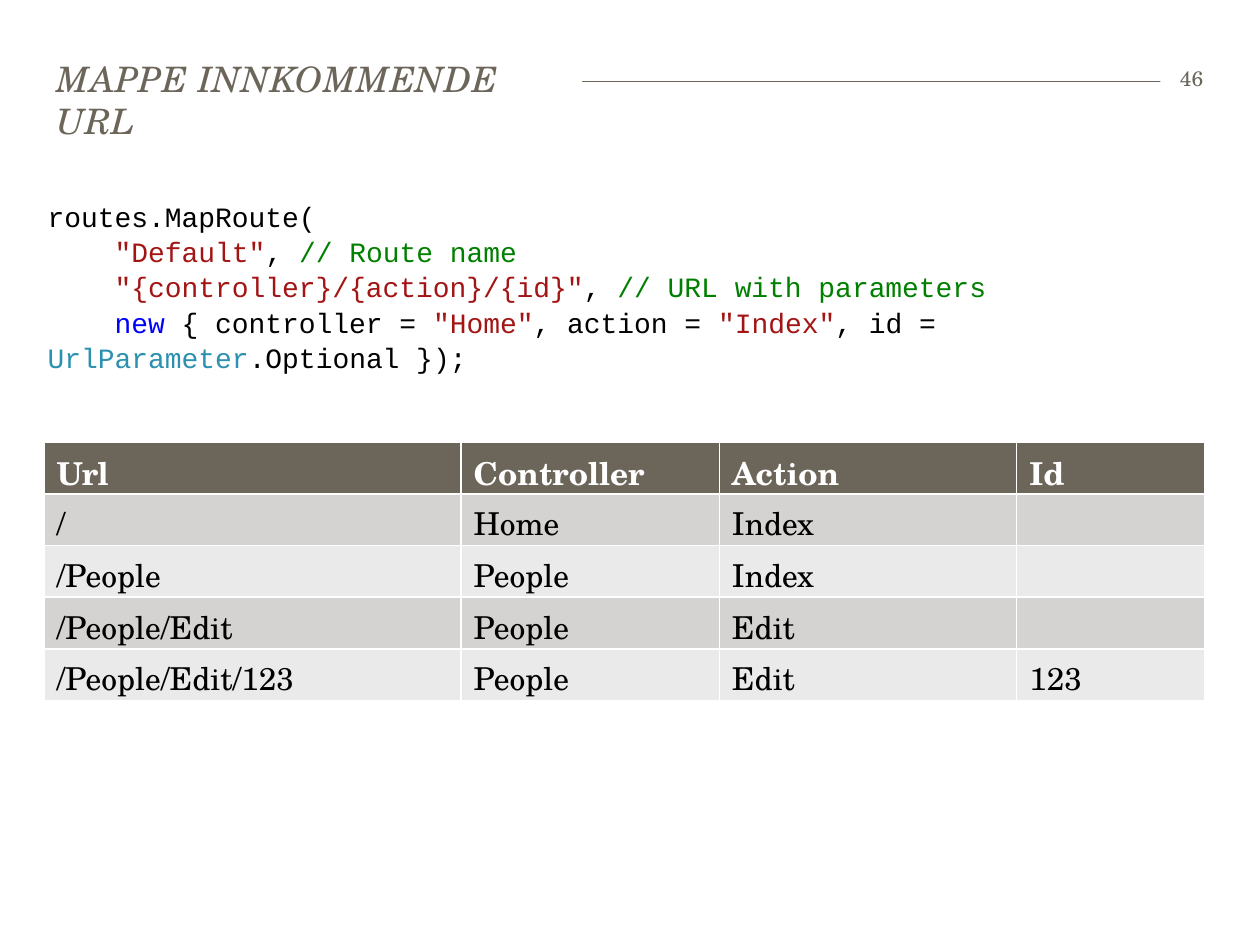
from pptx import Presentation
from pptx.dml.color import RGBColor
from pptx.enum.shapes import MSO_CONNECTOR, MSO_SHAPE
from pptx.enum.text import MSO_ANCHOR, MSO_AUTO_SIZE, PP_ALIGN
from pptx.oxml.ns import qn
from pptx.util import Inches, Pt
from lxml import etree

# Content
TITLE = "MAPPE INNKOMMENDE URL"
PAGE = "46"
CODE = [
    [("routes.MapRoute(", "plain")],
    [("    ", "plain"), ('"Default"', "string"), (", ", "plain"),
     ("// Route name", "comment")],
    [("    ", "plain"), ('"{controller}/{action}/{id}"', "string"),
     (", ", "plain"), ("// URL with parameters", "comment")],
    [("    ", "plain"), ("new", "keyword"), (" { controller = ", "plain"),
     ('"Home"', "string"), (", action = ", "plain"), ('"Index"', "string"),
     (", id = ", "plain"), ("UrlParameter", "type"),
     (".Optional });", "plain")],
]
ROUTES = [
    ("Url", "Controller", "Action", "Id"),
    ("/", "Home", "Index", ""),
    ("/People", "People", "Index", ""),
    ("/People/Edit", "People", "Edit", ""),
    ("/People/Edit/123", "People", "Edit", "123"),
]

# Look
SERIF, MONO = "TeX Gyre Schola", "Courier New"
WHITE, BLACK, TAUPE = "FFFFFF", "000000", "6C6559"
BANDS = ("EBEAEA", "D4D3D1")
SYNTAX = {"plain": BLACK, "string": "A31515", "comment": "008000",
          "keyword": "0000FF", "type": "2B91AF"}
COL_WIDTHS = (3.31, 2.05, 2.36, 1.49)
ROW_HEIGHT = 0.41
LEFT, RIGHT, RULE_Y = 0.35, 9.55, 0.65


def rgb(value):
    return RGBColor.from_string(value)


def box(*lengths):
    return [Inches(n) for n in lengths]


def fill(target, color):
    target.fill.solid()
    target.fill.fore_color.rgb = rgb(color)


def style(font, name, size, color, bold=False, italic=False):
    font.name, font.size = name, Pt(size)
    font.bold, font.italic = bold, italic
    font.color.rgb = rgb(color)


def set_insets(tf, *insets):
    (tf.margin_left, tf.margin_top,
     tf.margin_right, tf.margin_bottom) = box(*insets)


prs = Presentation()
prs.slide_width, prs.slide_height = box(10, 7.5)
slide = prs.slides.add_slide(prs.slide_layouts[5])

# Title
title = slide.shapes.title
title.left, title.top, title.width, title.height = box(LEFT, 0.46, 4.27, 0.34)
fill(title, WHITE)
tf = title.text_frame
tf.text = TITLE
tf.word_wrap = True
tf.auto_size = MSO_AUTO_SIZE.SHAPE_TO_FIT_TEXT
tf.vertical_anchor = MSO_ANCHOR.TOP
set_insets(tf, 0.1, 0, 0.1, 0)
p = tf.paragraphs[0]
p.alignment = PP_ALIGN.LEFT
style(p.font, SERIF, 20, TAUPE, italic=True)
p.runs[0].font._element.set("spc", "20")

# Rule running behind the title and the page number
rule = slide.shapes.add_connector(
    MSO_CONNECTOR.STRAIGHT, *box(0.46, RULE_Y, RIGHT, RULE_Y))
rule.line.color.rgb = rgb(TAUPE)
rule.line.width = Pt(0.5)
etree.SubElement(rule._element.spPr, qn("a:effectLst"))
title._element.addprevious(rule._element)

# Page number
sp = slide.shapes.add_shape(MSO_SHAPE.RECTANGLE, *box(9.21, 0.47, 0.34, 0.3))
sp.shadow.inherit = False
fill(sp, WHITE)
sp.line.fill.background()
tf = sp.text_frame
tf.text = PAGE
tf.vertical_anchor = MSO_ANCHOR.MIDDLE
set_insets(tf, 0.04, 0.05, 0, 0.05)
p = tf.paragraphs[0]
p.alignment = PP_ALIGN.RIGHT
style(p.font, SERIF, 12, TAUPE)

# Code
tf = slide.shapes.add_textbox(*box(0.28, 1.52, 9.45, 1.45)).text_frame
tf.word_wrap = True
for i, line in enumerate(CODE):
    p = tf.paragraphs[0] if i == 0 else tf.add_paragraph()
    p.line_spacing = 1.05
    p.font.name, p.font.size = MONO, Pt(16)
    for text, role in line:
        r = p.add_run()
        r.text = text
        r.font.color.rgb = rgb(SYNTAX[role])

# Route table; the default table style draws the white borders
table = slide.shapes.add_table(
    len(ROUTES), len(COL_WIDTHS),
    *box(LEFT, 3.51, sum(COL_WIDTHS), ROW_HEIGHT * len(ROUTES))).table
for column, width in zip(table.columns, COL_WIDTHS):
    column.width = Inches(width)
for i, values in enumerate(ROUTES):
    header = i == 0
    table.rows[i].height = Inches(ROW_HEIGHT)
    for cell, value in zip(table.rows[i].cells, values):
        fill(cell, TAUPE if header else BANDS[i % 2])
        cell.text = value
        style(cell.text_frame.paragraphs[0].font, SERIF, 18,
              WHITE if header else BLACK, bold=header)

prs.save("out.pptx")
